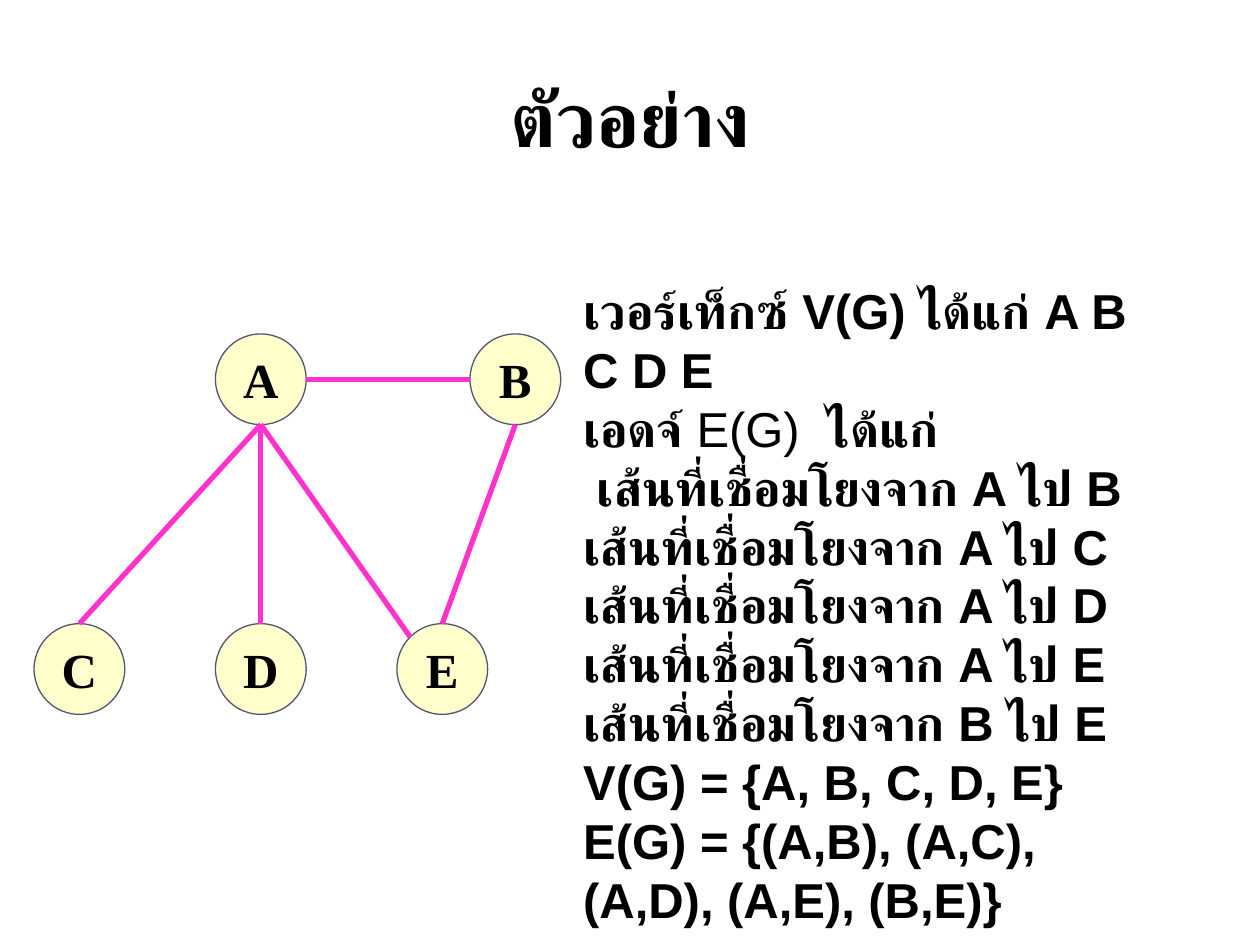
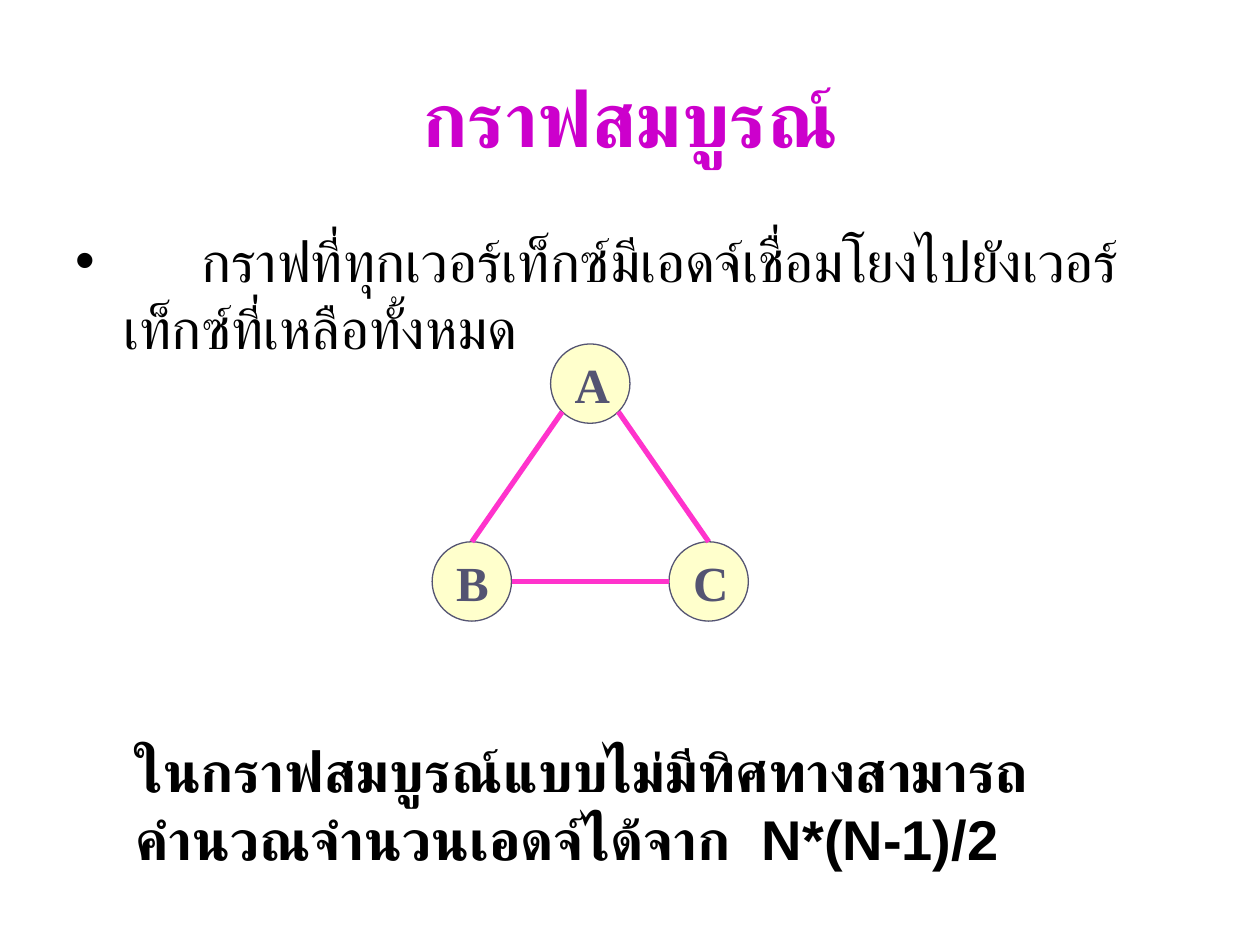
from dataclasses import dataclass
from math import cos, radians, sin

from lxml import etree
from pptx import Presentation
from pptx.dml.color import RGBColor
from pptx.enum.shapes import MSO_CONNECTOR, MSO_SHAPE
from pptx.enum.text import MSO_ANCHOR, MSO_AUTO_SIZE, PP_ALIGN
from pptx.oxml.ns import qn
from pptx.util import Inches, Pt

STRAIGHT = MSO_CONNECTOR.STRAIGHT
OVAL = MSO_SHAPE.OVAL
MIDDLE, TOP = MSO_ANCHOR.MIDDLE, MSO_ANCHOR.TOP
CENTER, LEFT = PP_ALIGN.CENTER, PP_ALIGN.LEFT
FIXED_SIZE = MSO_AUTO_SIZE.NONE
TITLE_ONLY = 5


@dataclass(frozen=True)
class Theme:
    text: RGBColor = RGBColor(0x00, 0x00, 0x00)
    accent: RGBColor = RGBColor(0xCC, 0x00, 0xCC)
    vertex_fill: RGBColor = RGBColor(0xFF, 0xFF, 0xCC)
    outline: RGBColor = RGBColor(0x54, 0x54, 0x72)
    edge: RGBColor = RGBColor(0xFF, 0x33, 0xCC)
    text_font: str = "Arial"
    vertex_font: str = "Times New Roman"
    title_size: int = 44
    body_size: int = 32
    detail_size: int = 28
    outline_width: float = 0.75
    edge_width: float = 3


THEME = Theme()


@dataclass(frozen=True)
class Box:
    left: float
    top: float
    width: float
    height: float

    def emu(self) -> tuple:
        return tuple(map(Inches, (self.left, self.top, self.width, self.height)))


@dataclass(frozen=True)
class Vertex:
    label: str
    left: float
    top: float


@dataclass(frozen=True)
class Edge:
    """Joins two vertices; angles run clockwise from the right-hand side."""
    start: str
    start_angle: int
    end: str
    end_angle: int


@dataclass(frozen=True)
class Graph:
    diameter: float
    label_color: RGBColor
    vertices: list[Vertex]
    edges: list[Edge]


@dataclass(frozen=True)
class Words:
    text: str
    bold: bool = True


TITLE_BOX = Box(0.5, 0.3, 9, 1.25)

# Example graph: two vertices above a row of three
TOP_ROW, BOTTOM_ROW, FIRST_COLUMN, COLUMN_STEP = 2.65, 4.95, 0.27, 1.44
EXAMPLE_GRAPH = Graph(
    0.72, THEME.text,
    [Vertex("A", FIRST_COLUMN + COLUMN_STEP, TOP_ROW), Vertex("B", 3.73, TOP_ROW)]
    + [Vertex(label, FIRST_COLUMN + column * COLUMN_STEP, BOTTOM_ROW)
       for column, label in enumerate("CDE")],
    [Edge("A", 90, "C", 270), Edge("A", 90, "D", 270), Edge("A", 90, "E", 225),
     Edge("A", 0, "B", 180), Edge("E", 270, "B", 90)],
)

# Complete graph: a triangle
APEX_LEFT, APEX_TOP, HALF_BASE, BASE_TOP = 4.37, 2.73, 0.94, 4.3
COMPLETE_GRAPH = Graph(
    0.63, THEME.outline,
    [Vertex("A", APEX_LEFT, APEX_TOP),
     Vertex("C", APEX_LEFT + HALF_BASE, BASE_TOP),
     Vertex("B", APEX_LEFT - HALF_BASE, BASE_TOP)],
    [Edge("B", 0, "C", 180), Edge("C", 270, "A", 45), Edge("B", 270, "A", 135)],
)

LINK_PAIRS = ["AB", "AC", "AD", "AE", "BE"]
LINKS = [f"เส้นที่เชื่อมโยงจาก {start} ไป {end}" for start, end in LINK_PAIRS]
EXAMPLE_LINES = [
    [Words("เวอร์เท็กซ์ V(G) ได้แก่ A B C D E")],
    [Words("เอดจ์ "), Words("E(G)  ", bold=False), Words("ได้แก่")],
    [Words(" " + LINKS[0])],
    *[[Words(link)] for link in LINKS[1:]],
    [Words("V(G) = {A, B, C, D, E}")],
    [Words("E(G) = {(A,B), (A,C), (A,D), (A,E), (B,E)}")],
]
DEFINITION = "\tกราฟที่ทุกเวอร์เท็กซ์มีเอดจ์เชื่อมโยงไปยังเวอร์เท็กซ์ที่เหลือทั้งหมด"
FORMULA = "ในกราฟสมบูรณ์แบบไม่มีทิศทางสามารถคำนวณจำนวนเอดจ์ได้จาก  N*(N-1)/2"


def add_words(paragraph, words: Words, size: int, font_name: str, color: RGBColor) -> None:
    run = paragraph.add_run()
    run.text = words.text
    formats = {"name": font_name, "size": Pt(size), "bold": words.bold}
    for attribute, value in formats.items():
        setattr(run.font, attribute, value)
    run.font.color.rgb = color


def format_frame(frame, anchor) -> None:
    formats = {"word_wrap": True, "auto_size": FIXED_SIZE, "vertical_anchor": anchor,
               "margin_left": Inches(0.1), "margin_right": Inches(0.1),
               "margin_top": Inches(0.05), "margin_bottom": Inches(0.05)}
    for attribute, value in formats.items():
        setattr(frame, attribute, value)


def add_titled_slide(deck, heading: str, color: RGBColor):
    slide = deck.slides.add_slide(deck.slide_layouts[TITLE_ONLY])
    title = slide.shapes.title
    title.left, title.top, title.width, title.height = TITLE_BOX.emu()
    format_frame(title.text_frame, MIDDLE)
    paragraph = title.text_frame.paragraphs[0]
    paragraph.alignment = CENTER
    add_words(paragraph, Words(heading), THEME.title_size, THEME.text_font, color)
    return slide


def add_text(slide, box: Box, lines: list[list[Words]], size: int):
    frame = slide.shapes.add_textbox(*box.emu()).text_frame
    format_frame(frame, TOP)
    for index, line in enumerate(lines):
        paragraph = frame.add_paragraph() if index else frame.paragraphs[0]
        paragraph.alignment = LEFT
        for words in line:
            add_words(paragraph, words, size, THEME.text_font, THEME.text)
    return frame


def add_bullet(paragraph, indent: float, tab: float) -> None:
    properties = paragraph._p.get_or_add_pPr()
    properties.set("marL", str(Inches(indent)))
    properties.set("indent", str(-Inches(indent)))
    etree.SubElement(properties, qn("a:buFont"), typeface=THEME.text_font)
    etree.SubElement(properties, qn("a:buChar"), char="•")
    tabs = etree.SubElement(properties, qn("a:tabLst"))
    etree.SubElement(tabs, qn("a:tab"), pos=str(Inches(tab)), algn="l")


def rim_point(vertex: Vertex, diameter: float, angle: int) -> tuple:
    radius = diameter / 2
    return (Inches(vertex.left + radius * (1 + cos(radians(angle)))),
            Inches(vertex.top + radius * (1 + sin(radians(angle)))))


def add_graph(slide, graph: Graph) -> None:
    shapes = slide.shapes.add_group_shape().shapes
    by_label = {vertex.label: vertex for vertex in graph.vertices}

    # Vertices
    for vertex in graph.vertices:
        box = Box(vertex.left, vertex.top, graph.diameter, graph.diameter)
        circle = shapes.add_shape(OVAL, *box.emu())
        circle.shadow.inherit = False
        circle.fill.solid()
        circle.fill.fore_color.rgb = THEME.vertex_fill
        circle.line.color.rgb = THEME.outline
        circle.line.width = Pt(THEME.outline_width)
        format_frame(circle.text_frame, MIDDLE)
        paragraph = circle.text_frame.paragraphs[0]
        paragraph.alignment = CENTER
        add_words(paragraph, Words(vertex.label), THEME.detail_size,
                  THEME.vertex_font, graph.label_color)

    # Edges
    for edge in graph.edges:
        start = rim_point(by_label[edge.start], graph.diameter, edge.start_angle)
        end = rim_point(by_label[edge.end], graph.diameter, edge.end_angle)
        link = shapes.add_connector(STRAIGHT, *start, *end)
        link.line.color.rgb = THEME.edge
        link.line.width = Pt(THEME.edge_width)
        etree.SubElement(link._element.spPr, qn("a:effectLst"))


def build_example(deck) -> None:
    slide = add_titled_slide(deck, "ตัวอย่าง", THEME.text)
    add_graph(slide, EXAMPLE_GRAPH)
    add_text(slide, Box(4.53, 2.18, 4.88, 5.24), EXAMPLE_LINES, THEME.detail_size)


def build_complete_graph(deck) -> None:
    slide = add_titled_slide(deck, "กราฟสมบูรณ์", THEME.accent)
    definition = add_text(slide, Box(0.5, 1.75, 9, 4.95),
                          [[Words(DEFINITION, bold=False)]], THEME.body_size)
    add_bullet(definition.paragraphs[0], indent=0.38, tab=1)
    add_graph(slide, COMPLETE_GRAPH)
    add_text(slide, Box(0.98, 5.8, 7.8, 1.17), [[Words(FORMULA)]], THEME.body_size)


def main() -> None:
    deck = Presentation()
    deck.slide_width, deck.slide_height = Inches(10), Inches(7.5)
    build_example(deck)
    build_complete_graph(deck)
    deck.save("out.pptx")


if __name__ == "__main__":
    main()
